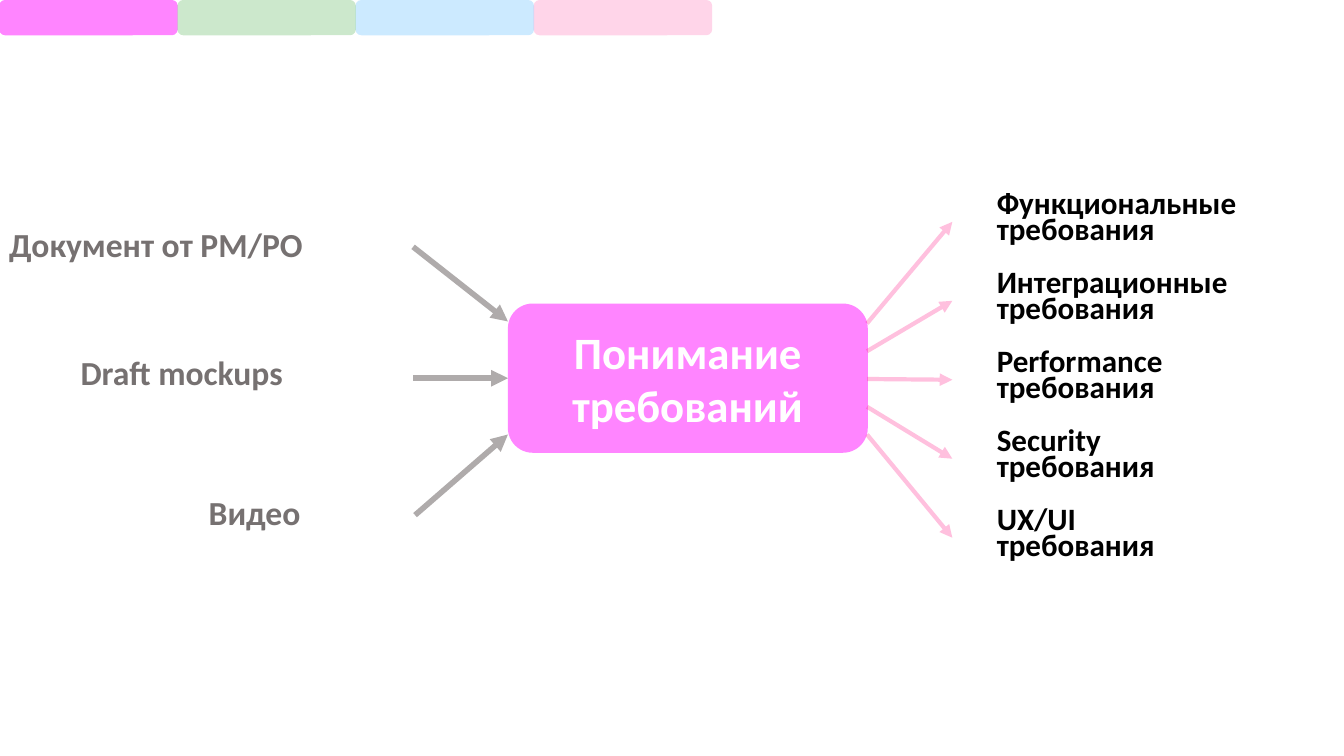
from dataclasses import dataclass

from lxml.etree import SubElement
from pptx import Presentation
from pptx.dml.color import RGBColor
from pptx.enum.shapes import MSO_CONNECTOR, MSO_SHAPE
from pptx.enum.text import MSO_ANCHOR, PP_ALIGN
from pptx.oxml.ns import qn
from pptx.util import Cm, Pt

PINK = "FF85FF"
ROSE = "FF2F92"
GREY = "AFABAB"


@dataclass
class Box:
    x: float
    y: float
    w: float
    h: float

    def place(self) -> tuple:
        return Cm(self.x), Cm(self.y), Cm(self.w), Cm(self.h)


@dataclass
class Arrow:
    x1: float
    y1: float
    x2: float
    y2: float
    color: str
    width: float
    alpha: int = 100


@dataclass
class Source:
    text: str
    y: float
    w: float


def paint(part, color: str, alpha: int = 100) -> None:
    part.solid()
    part.fore_color.rgb = RGBColor.from_string(color)
    if alpha < 100:
        tone = part._xPr.find(qn("a:solidFill"))[0]
        SubElement(tone, qn("a:alpha"), val=str(alpha * 1000))


def write(shape, text: str, *, size: float, color: str, align=PP_ALIGN.LEFT,
          anchor=MSO_ANCHOR.TOP, pitch: float = 1.0, after: float = 0) -> None:
    frame = shape.text_frame
    frame.word_wrap = True
    frame.vertical_anchor = anchor
    para = frame.paragraphs[0]
    para.text = text
    para.alignment = align
    para.line_spacing = pitch
    para.space_after = Pt(after)
    for run in para.runs:
        run.font.name = "Calibri"
        run.font.size = Pt(size)
        run.font.bold = True
        run.font.color.rgb = RGBColor.from_string(color)


def label(slide, box: Box, text: str, **style) -> None:
    shape = slide.shapes.add_textbox(*box.place())
    shape.text_frame.margin_right = 0
    write(shape, text, after=6, **style)


def block(slide, box: Box, color: str, alpha: int = 100):
    shape = slide.shapes.add_shape(MSO_SHAPE.ROUNDED_RECTANGLE, *box.place())
    shape.shadow.inherit = False
    paint(shape.fill, color, alpha)
    shape.line.fill.background()
    return shape


def draw(slide, arrow: Arrow) -> None:
    link = slide.shapes.add_connector(
        MSO_CONNECTOR.STRAIGHT, Cm(arrow.x1), Cm(arrow.y1), Cm(arrow.x2), Cm(arrow.y2))
    link.line.width = Pt(arrow.width)
    paint(link.line.fill, arrow.color, arrow.alpha)
    SubElement(link.line._get_or_add_ln(), qn("a:tailEnd"), type="triangle")
    SubElement(link._element.spPr, qn("a:effectLst"))


SOURCES = [
    Source("Документ от PM/PO", 5.66, 7.95),
    Source("Draft mockups", 8.89, 6.15),
    Source("Видео", 12.42, 2.92),
]
INPUTS = [
    Arrow(10.41, 6.22, 12.8, 8.1, GREY, 4),
    Arrow(10.41, 9.53, 12.8, 9.53, GREY, 4),
    Arrow(10.46, 12.98, 12.8, 10.95, GREY, 4),
]
KINDS = ["Функциональные", "Интеграционные", "Performance", "Security", "UX/UI"]
BARS = [(PINK, 100), ("008F00", 20), ("0096FF", 20), (ROSE, 20)]


def main() -> None:
    deck = Presentation()
    deck.slide_width, deck.slide_height = Cm(33.87), Cm(19.05)
    slide = deck.slides.add_slide(deck.slide_layouts[6])

    core = block(slide, Box(12.8, 7.65, 9.07, 3.76), PINK)
    write(core, "Понимание требований", size=32, color="FFFFFF",
          align=PP_ALIGN.CENTER, anchor=MSO_ANCHOR.MIDDLE)

    for item in SOURCES:
        label(slide, Box(7.93 - item.w, item.y, item.w, 1.12), item.text,
              size=24, color="767171", anchor=MSO_ANCHOR.BOTTOM, pitch=0.8)
    for arrow in INPUTS:
        draw(slide, arrow)

    for i, kind in enumerate(KINDS):
        top = 4.75 + 1.99 * i
        label(slide, Box(24.87, top, 7.16, 1.65), f"{kind}\vтребования",
              size=22.2, color="000000", pitch=0.7)
        draw(slide, Arrow(21.85, 8.15 + 0.7 * i, 24, top + 0.84, ROSE, 3, 30))

    for i, (color, alpha) in enumerate(BARS):
        block(slide, Box(4.49 * i - 0.02, 0, 4.5, 0.89), color, alpha)

    deck.save("out.pptx")


if __name__ == "__main__":
    main()
